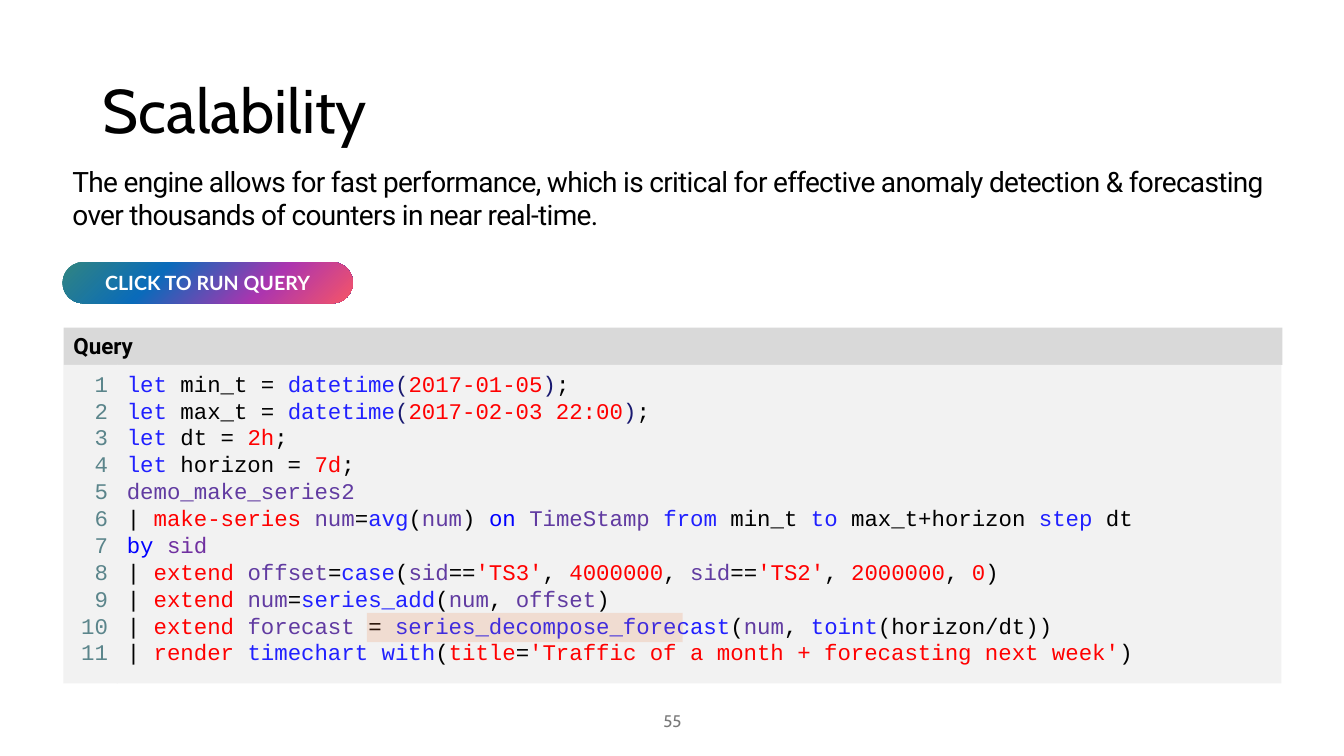
from dataclasses import dataclass
from typing import NamedTuple, Optional

from lxml import etree
from pptx import Presentation
from pptx import util as u
from pptx.dml.color import RGBColor
from pptx.enum import shapes, text
from pptx.oxml.ns import qn

BLACK = RGBColor(0x00, 0x00, 0x00)
WHITE = RGBColor(0xFF, 0xFF, 0xFF)
HEADER_GREY = RGBColor(0xD9, 0xD9, 0xD9)
PANEL_GREY = RGBColor(0xF2, 0xF2, 0xF2)
NUMBER_GREY = RGBColor(0x79, 0x79, 0x79)
TEAL = RGBColor(0x5B, 0x85, 0x8B)
ORANGE = RGBColor(0xE9, 0x71, 0x32)
BLUE = RGBColor(0x20, 0x20, 0xFF)
PURE_BLUE = RGBColor(0x00, 0x00, 0xFF)
NAVY = RGBColor(0x19, 0x19, 0x70)
RED = RGBColor(0xFF, 0x00, 0x00)
PURPLE = RGBColor(0x61, 0x3B, 0xA1)
VIOLET = RGBColor(0x70, 0x30, 0xA0)
BUTTON_STOPS = [
    (0, RGBColor(0xF6, 0x55, 0x67)),
    (31, RGBColor(0xAC, 0x35, 0xAF)),
    (67, RGBColor(0x0A, 0x6B, 0xBA)),
    (100, RGBColor(0x31, 0x85, 0x81)),
]

LEFT, ALIGN_CENTER, RIGHT = text.PP_ALIGN.LEFT, text.PP_ALIGN.CENTER, text.PP_ALIGN.RIGHT
TOP, MIDDLE = text.MSO_ANCHOR.TOP, text.MSO_ANCHOR.MIDDLE
RECT = shapes.MSO_SHAPE.RECTANGLE
ROUNDED = shapes.MSO_SHAPE.ROUNDED_RECTANGLE
CODE_PITCH = u.Pt(19.2)


class Token(NamedTuple):
    text: str
    color: RGBColor = BLACK


@dataclass
class Style:
    font: str
    size: float
    bold: bool = False
    align: int = LEFT
    anchor: int = TOP
    pitch: Optional[float] = None
    spacing: int = 0
    wrap: bool = True


@dataclass
class Block:
    """A box with optional fill; each line is a paragraph of tokens."""
    left: float
    top: float
    width: float
    height: float
    lines: list
    style: Optional[Style] = None
    fill: Optional[RGBColor] = None
    preset: int = RECT


CODE = Style("Courier New", 16, pitch=CODE_PITCH)
GUTTER = Style("Courier New", 16, align=RIGHT, pitch=CODE_PITCH)

LET = Token("let ", BLUE)
PIPE = Token("| ")
EXTEND = Token("extend ", RED)
NUM = Token("num", PURPLE)
SID = Token("sid", PURPLE)
OFFSET = Token("offset", PURPLE)
EQUALS, SAME, COMMA = Token("="), Token("=="), Token(", ")
OPEN, CLOSE = Token("("), Token(")")


def let_date(name: str, date: str) -> list[Token]:
    return [LET, Token(f"{name} = "), Token("datetime", BLUE), Token("(", NAVY),
            Token(date, RED), Token(")", NAVY), Token(";")]


def let_span(name: str, span: str) -> list[Token]:
    return [LET, Token(f"{name} = "), Token(span, RED), Token(";")]


QUERY = [
    let_date("min_t", "2017-01-05"),
    let_date("max_t", "2017-02-03 22:00"),
    let_span("dt", "2h"),
    let_span("horizon", "7d"),
    [Token("demo_make_series2", PURPLE)],
    [PIPE, Token("make-series ", RED), NUM, EQUALS, Token("avg", BLUE), OPEN, NUM,
     Token(") "), Token("on ", PURE_BLUE), Token("TimeStamp ", PURPLE),
     Token("from ", BLUE), Token("min_t "), Token("to ", BLUE),
     Token("max_t+horizon "), Token("step", BLUE), Token(" dt")],
    [Token("by ", PURE_BLUE), Token("sid", VIOLET)],
    [PIPE, EXTEND, OFFSET, EQUALS, Token("case", BLUE), OPEN, SID, SAME,
     Token("'TS3'", RED), COMMA, Token("4000000", RED), COMMA, SID, SAME,
     Token("'TS2'", RED), COMMA, Token("2000000", RED), COMMA, Token("0", RED), CLOSE],
    [PIPE, EXTEND, NUM, EQUALS, Token("series_add", BLUE), OPEN, NUM, COMMA, OFFSET, CLOSE],
    [PIPE, EXTEND, Token("forecast ", PURPLE), Token("= "),
     Token("series_decompose_forecast", BLUE), OPEN, NUM, COMMA,
     Token("toint", BLUE), Token("(horizon/dt))")],
    [PIPE, Token("render ", RED), Token("timechart with", BLUE), OPEN,
     Token("title", RED), EQUALS,
     Token("'Traffic of a month + forecasting next week'", RED), CLOSE],
]

TITLE = Block(0.92, 0.4, 11.5, 1.45, [[Token("Scalability")]],
              Style("Cabin", 44, anchor=MIDDLE, pitch=0.9))
INTRO = Block(0.62, 1.58, 12.1, 0.78, [[Token(
    "The engine allows for fast performance, which is critical for effective anomaly "
    "detection & forecasting over thousands of counters in near real-time.")]],
    Style("Roboto", 20, spacing=-50))
CODE_HEADER = Block(0.63, 3.25, 12.09, 0.37, [[Token("Query")]],
                    Style("Roboto", 16, bold=True), HEADER_GREY)
CODE_PANEL = Block(1.16, 3.62, 11.55, 3.16, QUERY, CODE, PANEL_GREY)
LINE_NUMBERS = Block(0.63, 3.62, 0.54, 3.16,
                     [[Token(str(n), TEAL)] for n in range(1, len(QUERY) + 1)],
                     GUTTER, PANEL_GREY)
HIGHLIGHT = Block(3.64, 6.08, 3.13, 0.29, [], fill=ORANGE)
BUTTON = Block(0.62, 2.6, 2.88, 0.41, [[Token("CLICK TO RUN QUERY", WHITE)]],
               Style("Lato", 14, bold=True, align=ALIGN_CENTER, anchor=MIDDLE, wrap=False),
               BUTTON_STOPS[0][1], ROUNDED)
PAGE_NUMBER = Block(4.42, 6.95, 4.5, 0.4, [[Token("55", NUMBER_GREY)]],
                    Style("Cabin", 12, align=ALIGN_CENTER, anchor=MIDDLE))


def write_lines(tf, lines: list, style: Style) -> None:
    tf.word_wrap = style.wrap
    tf.vertical_anchor = style.anchor
    for i, line in enumerate(lines):
        p = tf.add_paragraph() if i else tf.paragraphs[0]
        p.alignment = style.align
        p.line_spacing = style.pitch
        for token in line:
            r = p.add_run()
            r.text = token.text
            r.font.name = style.font
            r.font.size = u.Pt(style.size)
            r.font.bold = style.bold
            r.font.color.rgb = token.color
            if style.spacing:
                r.font._element.set("spc", str(style.spacing))


def draw(slide, block: Block):
    box = [u.Inches(v) for v in (block.left, block.top, block.width, block.height)]
    if block.fill is None:
        sp = slide.shapes.add_textbox(*box)
    else:
        sp = slide.shapes.add_shape(block.preset, *box)
        sp.shadow.inherit = False
        sp.fill.solid()
        sp.fill.fore_color.rgb = block.fill
        sp.line.fill.background()
    if block.style:
        write_lines(sp.text_frame, block.lines, block.style)
    return sp


def set_opacity(sp, percent: int) -> None:
    color = sp.element.spPr.find(qn("a:solidFill"))[0]
    etree.SubElement(color, qn("a:alpha")).set("val", str(percent * 1000))


def set_corner_gradient(sp, stops: list) -> None:
    """Fill with a gradient that spreads from the bottom right corner."""
    sp.fill.gradient()
    grad = sp.element.spPr.find(qn("a:gradFill"))
    for child in list(grad):
        grad.remove(child)
    stop_list = etree.SubElement(grad, qn("a:gsLst"))
    for position, color in stops:
        stop = etree.SubElement(stop_list, qn("a:gs"), pos=str(position * 1000))
        etree.SubElement(stop, qn("a:srgbClr"), val=str(color))
    spread = etree.SubElement(grad, qn("a:path"))
    spread.set("path", "circle")
    etree.SubElement(spread, qn("a:fillToRect"), l="100000", t="100000")


def main() -> None:
    prs = Presentation()
    prs.slide_width, prs.slide_height = u.Inches(13.33), u.Inches(7.5)
    slide = prs.slides.add_slide(prs.slide_layouts[6])
    for block in (TITLE, INTRO, CODE_HEADER, CODE_PANEL, LINE_NUMBERS):
        draw(slide, block)
    set_opacity(draw(slide, HIGHLIGHT), 17)
    button = draw(slide, BUTTON)
    button.adjustments[0] = 0.5
    set_corner_gradient(button, BUTTON_STOPS)
    draw(slide, PAGE_NUMBER)
    prs.save("out.pptx")


if __name__ == "__main__":
    main()
